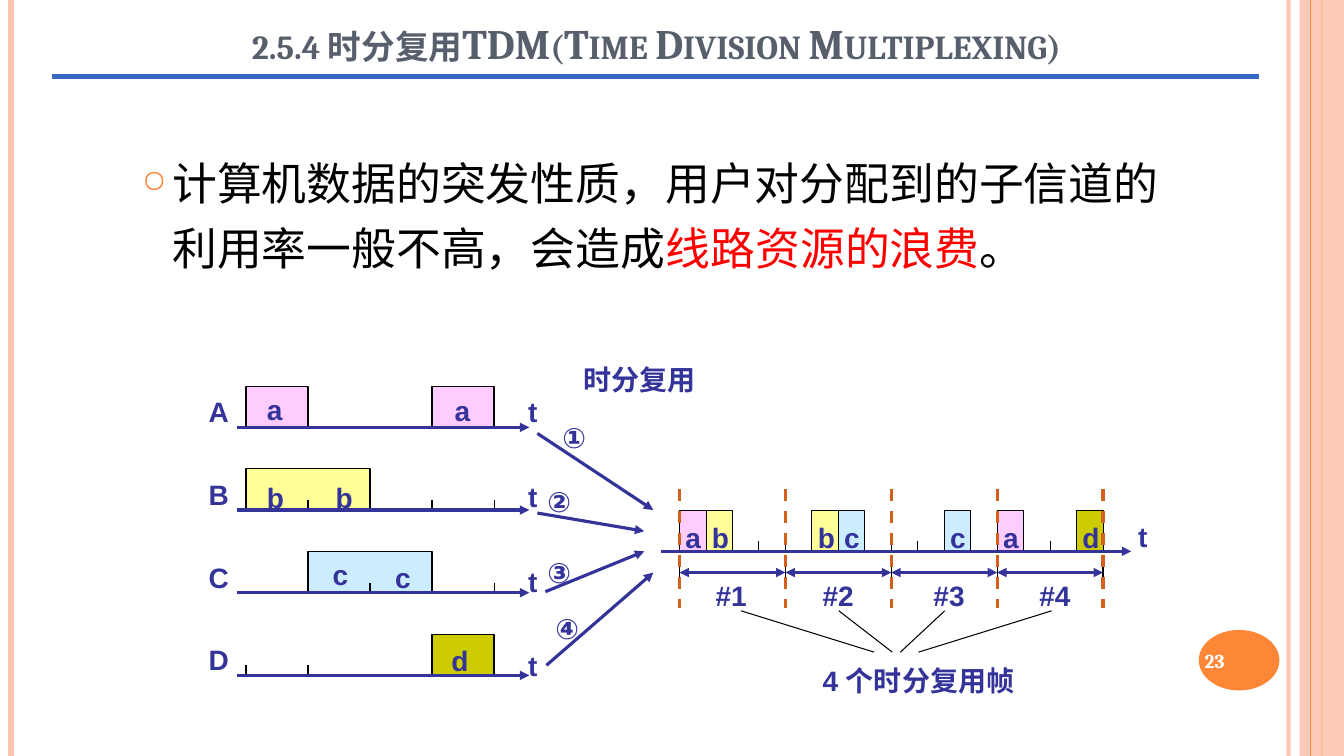
import pptx
import pptx.util
import pptx.dml.color
import pptx.enum.dml
import pptx.enum.shapes
import pptx.enum.text
import pptx.oxml
import pptx.oxml.ns
import lxml.etree

Inches = pptx.util.Inches
Pt = pptx.util.Pt
qn = pptx.oxml.ns.qn
sub = lxml.etree.SubElement

HUES = {
    "navy": "333399", "black": "000000", "white": "FFFFFF", "red": "FF0000",
    "slate": "575F6D", "blue": "3668C4", "orange": "FE8637", "peach": "FEC3AE",
    "rust": "D2611C",
    "a": "FFCCFF", "b": "FFFF99", "c": "CCECFF", "d": "CCCC00",
}

# Diagram grid
LEFT, COL = 2.44, 2.46 / 4        # user time axis
TOP, ROW = 4.24, 0.82             # user baselines
START, FRAME = 6.74, 1.05         # shared line
SLOT = FRAME / 4
BASE, HIGH, TICK = 5.47, 0.41, 0.1


def hue(name):
    return pptx.dml.color.RGBColor.from_string(HUES[name])


def fade(fill, alpha):
    tint = fill._xPr.find(qn("a:solidFill"))[0]
    sub(tint, qn("a:alpha")).set("val", str(alpha * 1000))


def line(slide, x1, y1, x2, y2, color="black", width=0.75, head=False,
         tail=False, dash=False, alpha=None):
    kind = pptx.enum.shapes.MSO_CONNECTOR.STRAIGHT
    link = slide.shapes.add_connector(
        kind, Inches(x1), Inches(y1), Inches(x2), Inches(y2))
    link.line.color.rgb = hue(color)
    link.line.width = Pt(width)
    if alpha:
        fade(link.line.fill, alpha)
    if dash:
        link.line.dash_style = pptx.enum.dml.MSO_LINE.DASH
    props = link._element.spPr
    for tag, on in (("a:headEnd", head), ("a:tailEnd", tail)):
        if on:
            sub(props.find(qn("a:ln")), qn(tag)).set("type", "triangle")
    sub(props, qn("a:effectLst"))


def paint(shape, color, alpha=None):
    shape.shadow.inherit = False
    shape.fill.solid()
    shape.fill.fore_color.rgb = hue(color)
    shape.line.fill.background()
    if alpha:
        fade(shape.fill, alpha)


def solid(slide, kind, x, y, w, h, color, alpha=None):
    shape = slide.shapes.add_shape(
        kind, Inches(x), Inches(y), Inches(w), Inches(h))
    paint(shape, color, alpha)


def block(slide, x, base, width, color):
    """A data block, open along its baseline."""
    top = base - HIGH
    spots = [(x, top), (x + width, top), (x + width, base)]
    pen = slide.shapes.build_freeform(Inches(x), Inches(base))
    pen.add_line_segments([(Inches(p), Inches(q)) for p, q in spots],
                          close=False)
    shape = pen.convert_to_shape()
    paint(shape, color)
    shape.line.color.rgb = hue("black")
    shape.line.width = Pt(0.75)


def write(slide, text, x, y, w=0.6, h=0.5, size=20, font="Arial",
          color="navy", bold=True, space=1.2, align="LEFT", anchor="TOP"):
    """Text is a string, or a list of (string, colour) runs."""
    box = slide.shapes.add_textbox(Inches(x), Inches(y), Inches(w), Inches(h))
    frame = box.text_frame
    frame.word_wrap = True
    frame.vertical_anchor = getattr(pptx.enum.text.MSO_ANCHOR, anchor)
    para = frame.paragraphs[0]
    para.alignment = getattr(pptx.enum.text.PP_ALIGN, align)
    para.line_spacing = space
    for words, shade in ([(text, color)] if isinstance(text, str) else text):
        run = para.add_run()
        run.text = words
        run.font.size = Pt(size)
        run.font.name = font
        run.font.bold = bold
        run.font.color.rgb = hue(shade)
    return para


def bullet(para):
    para.space_before = Pt(6)
    props = para._p.get_or_add_pPr()
    props.set("marL", str(Inches(0.3)))
    props.set("indent", str(-Inches(0.3)))
    tint = sub(sub(props, qn("a:buClr")), qn("a:srgbClr"))
    tint.set("val", HUES["orange"])
    sub(props, qn("a:buSzPct")).set("val", "70000")
    sub(props, qn("a:buChar")).set("char", "○")


def decor(slide):
    form = pptx.enum.shapes.MSO_SHAPE
    line(slide, 12.78, 0, 12.78, 7.5, "peach", 3, alpha=93)
    line(slide, 0.11, 0, 0.11, 7.5, "peach", 4.5)
    line(slide, 13.11, 0, 13.11, 7.5, "orange", 1.5)
    solid(slide, form.RECTANGLE, 12.89, 0, 0.44, 7.5, "peach", 87)
    line(slide, 13, 0, 13, 7.5, "orange")
    solid(slide, form.OVAL, 11.89, 6.25, 0.8, 0.6, "orange")
    write(slide, "23", 11.85, 6.27, 0.89, 0.57, size=14, font="Cambria",
          color="white", space=1, anchor="MIDDLE")


def heading(slide):
    line(slide, 0.52, 0.76, 12.49, 0.76, "blue", 3.5)
    para = write(slide, "2.5.4 时分复用TDM(Time Division Multiplexing)",
                 0.21, -0.16, 12.6, 0.88, size=30, font="Cambria",
                 color="slate", space=1, align="CENTER", anchor="BOTTOM")
    para.runs[0].font._element.set("cap", "small")
    bullet(write(slide, [
        ("计算机数据的突发性质，用户对分配到的子信道的利用率一般不高，会造成", "black"),
        ("线路资源的浪费", "red"), ("。", "black")],
        1.31, 1.39, 10.54, 1.47, size=32, font="Cambria", bold=False))


def users(slide):
    # Name, blocks (letter, column, span), ticks, letters (x, y)
    rows = [
        ("A", [("a", 0, 1), ("a", 3, 1)], [], [(2.55, 3.78), (4.41, 3.79)]),
        ("B", [("b", 0, 2)], [1, 3, 4], [(2.55, 4.65), (3.23, 4.65)]),
        ("C", [("c", 1, 2)], [2, 4], [(3.2, 5.42), (3.82, 5.44)]),
        ("D", [("d", 3, 1)], [0, 1, 3], [(4.38, 6.27)]),
    ]
    for i, (name, parts, ticks, spots) in enumerate(rows):
        base = TOP + i * ROW
        for key, col, span in parts:
            block(slide, LEFT + col * COL, base, span * COL, key)
        for col in ticks:
            x = LEFT + col * COL
            line(slide, x, base - TICK, x, base)
        for x, y in spots:
            write(slide, name.lower(), x, y)
        write(slide, name, 1.97, base - 0.44)
        write(slide, "t", 5.14, 3.8 + i * 0.84)
        line(slide, 2.35, base, 5.25, base, "navy", 2.25, tail=True)


def merge(slide):
    arrows = [
        ("①", 5.48, 4.06, (5.33, 4.3, 6.48, 5.06)),
        ("②", 5.33, 4.69, (5.33, 5.09, 6.39, 5.27)),
        ("③", 5.33, 5.4, (5.41, 5.87, 6.39, 5.47)),
        ("④", 5.41, 5.95, (5.42, 6.6, 6.48, 5.68)),
    ]
    for sign, x, y, ends in arrows:
        line(slide, *ends, "navy", 2.25, tail=True)
        write(slide, sign, x, y)
    write(slide, "时分复用", 5.69, 3.48, 1.4)


def shared(slide):
    # Filled and empty slots
    slots = [("a", 0), ("b", 1), ("b", 5), ("c", 6), ("c", 10), ("a", 12),
             ("d", 15)]
    for key, n in slots:
        block(slide, START + n * SLOT, BASE, SLOT, key)
    for key, n in slots:
        write(slide, key, START + n * SLOT - 0.04, 5.05)
    for n in (2, 3, 4, 8, 9, 14):
        x = START + n * SLOT
        line(slide, x, BASE - TICK, x, BASE)
    line(slide, 6.56, BASE, 11.22, BASE, "navy", 2.25, tail=True)
    write(slide, "t", 11.19, 5.04)

    # Frames
    for i, x in enumerate((7, 8.06, 9.16, 10.21)):
        edge = START + i * FRAME
        line(slide, edge, 5.68, edge + FRAME, 5.68, "navy", 2.25,
             head=True, tail=True)
        write(slide, f"#{i + 1}", x, 5.62)
    for i in range(5):
        edge = START + i * FRAME
        line(slide, edge, 5.58, edge, 5.78)
        line(slide, edge, 4.85, edge, 6.03, "rust", 2.25, dash=True)

    # Frame caption
    for x, end in ((7.35, 8.67), (8.32, 8.85), (9.37, 8.93), (10.43, 9.11)):
        line(slide, x, 6.06, end, 6.47)
    write(slide, "4 个时分复用帧", 8.06, 6.47, 2.13)


def main():
    deck = pptx.Presentation()
    deck.slide_width, deck.slide_height = Inches(13.33), Inches(7.5)
    slide = deck.slides.add_slide(deck.slide_layouts[6])
    for part in (decor, heading, users, merge, shared):
        part(slide)
    deck.save("out.pptx")


if __name__ == "__main__":
    main()
